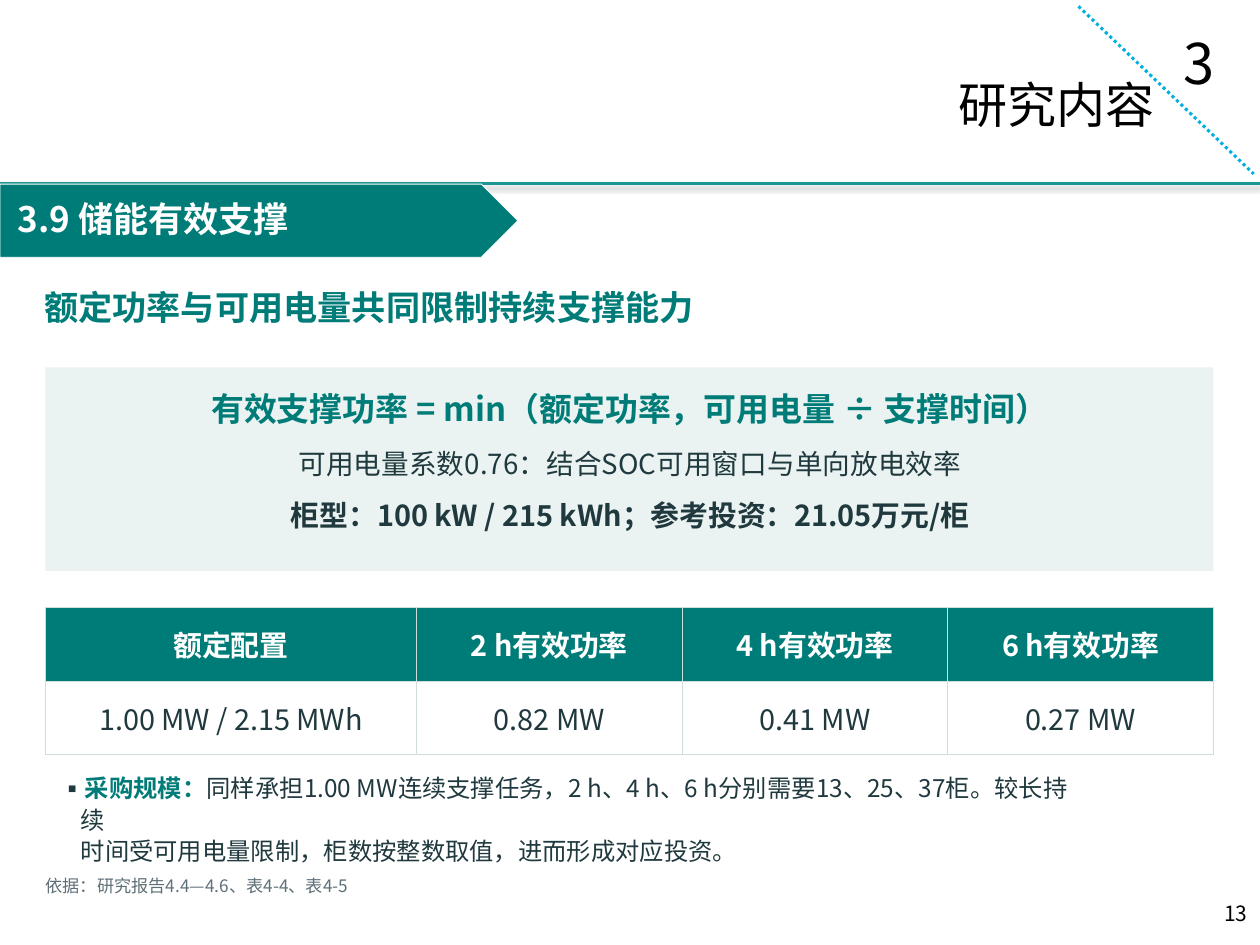
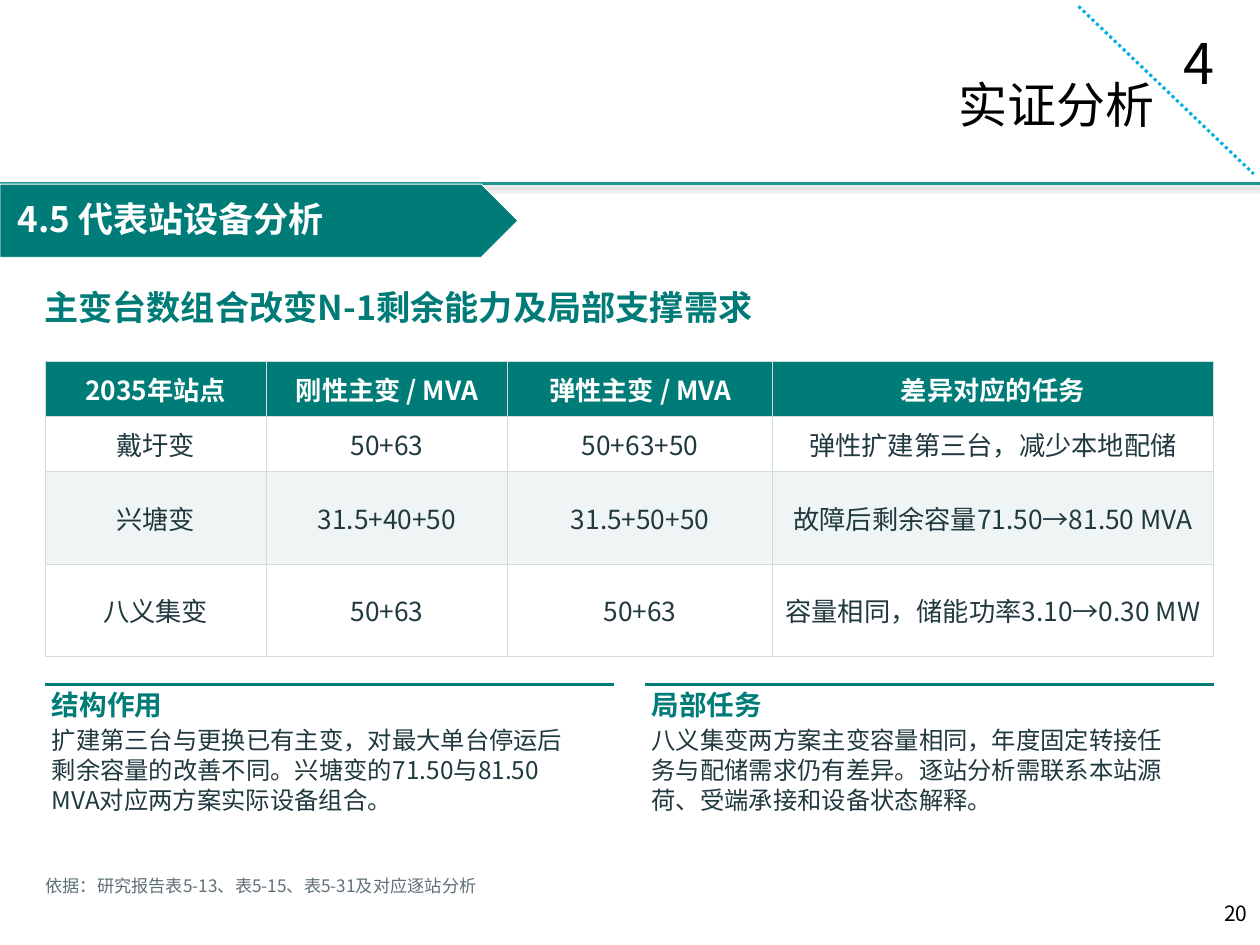
from dataclasses import dataclass

from lxml import etree
from pptx import Presentation
from pptx.dml.color import RGBColor
from pptx.enum import dml, shapes, text
from pptx.oxml import ns
from pptx.util import Pt

FONT = "Noto Sans CJK SC"
COLORS = {
    "teal": "007C78", "rule": "1C9791", "dots": "00B0E0", "ink": "20393E",
    "muted": "5E7077", "panel": "EAF3F1", "stripe": "EFF5F4",
    "border": "D0DEDB", "white": "FFFFFF", "black": "000000",
}
LEFT, WIDTH = 26, 667.4
ALIGN = {"l": text.PP_ALIGN.LEFT, "c": text.PP_ALIGN.CENTER, "r": text.PP_ALIGN.RIGHT}


@dataclass
class Page:
    chapter: str
    title: str
    section: str
    heading: str
    heading_width: float
    source: str
    source_width: float
    number: str
    layout: int


@dataclass
class PanelLine:
    text: str
    top: float
    width: float
    height: float
    size: float
    color: str
    bold: bool


@dataclass
class Grid:
    top: float
    cols: list[float]
    rows: list[float]
    size: float
    cells: list[list[str]]


@dataclass
class Column:
    left: float
    head: str
    body: str


def rgb(name: str) -> RGBColor:
    return RGBColor.from_string(COLORS[name])


def sub(parent, tag: str, **attrs):
    el = etree.SubElement(parent, ns.qn(tag))
    for key, value in attrs.items():
        el.set(key, str(value))
    return el


def write(p, content: str, *, size: float, color: str = "ink", bold: bool = False,
          align: str = "l", spacing: float | None = None) -> None:
    p.alignment = ALIGN[align]
    p.space_before = Pt(0)
    if spacing:
        p.line_spacing = Pt(spacing)
    for i, line in enumerate(content.split("\n")):
        if i:
            p.add_line_break()
        r = p.add_run()
        r.text = line
        r.font.name, r.font.size, r.font.bold = FONT, Pt(size), bold
        r.font.color.rgb = rgb(color)
        sub(r._r.get_or_add_rPr(), "a:ea", typeface=FONT)


def frame(sp, box: tuple, ins: tuple = (0, 0, 0, 0), wrap: bool = False):
    sp.left, sp.top, sp.width, sp.height = (Pt(v) for v in box)
    tf = sp.text_frame
    tf.margin_left, tf.margin_top, tf.margin_right, tf.margin_bottom = (Pt(v) for v in ins)
    tf.auto_size = text.MSO_AUTO_SIZE.NONE
    tf.word_wrap = wrap
    tf.vertical_anchor = text.MSO_ANCHOR.TOP
    return tf.paragraphs[0]


def label(s, content: str, box: tuple, ins: tuple = (0, 0, 0, 0), **fmt) -> None:
    sp = s.shapes.add_textbox(*(Pt(v) for v in box))
    write(frame(sp, box, ins), content, **fmt)


def line(s, start: tuple, end: tuple, color: str, width: float):
    c = s.shapes.add_connector(shapes.MSO_CONNECTOR.STRAIGHT,
                               *(Pt(v) for v in (*start, *end)))
    c.line.color.rgb = rgb(color)
    c.line.width = Pt(width)
    return c, sub(c._element.spPr, "a:effectLst")


def block(s, kind, box: tuple, fill: str, outline: str | None = None) -> None:
    sp = s.shapes.add_shape(kind, *(Pt(v) for v in box))
    sp.shadow.inherit = False
    sp.fill.solid()
    sp.fill.fore_color.rgb = rgb(fill)
    if outline:
        sp.line.color.rgb = rgb(outline)
        sp.line.width = Pt(0.5)
    else:
        sp.line.fill.background()


def add_page(prs, page: Page):
    s = prs.slides.add_slide(prs.slide_layouts[page.layout])
    _, effects = line(s, (0, 105), (720, 105), "rule", 1.5)
    shadow = sub(effects, "a:outerShdw", blurRad=Pt(3.1), dist=Pt(1.8),
                 dir=5400000, rotWithShape=0)
    sub(sub(shadow, "a:srgbClr", val=COLORS["black"]), "a:alpha", val=35000)
    label(s, page.chapter, (669, 13, 24.5, 46), (7.2, 3.6, 0, 0), size=32, color="black")
    write(frame(s.shapes.title, (358.6, 39, 308.2, 41), (0, 3.6, 7.2, 0)),
          page.title, size=28, color="black", align="r")
    dots, _ = line(s, (616.3, 3.6), (716.4, 99.4), "dots", 1.75)
    dots.line.dash_style = dml.MSO_LINE.ROUND_DOT
    label(s, page.number, (558, 511.2, 162, 28.8), (0, 3.6, 7.2, 0),
          size=12, color="black", align="r")
    block(s, shapes.MSO_SHAPE.PENTAGON, (0, 105.2, 296, 41.8), "teal", "white")
    label(s, page.section, (2.9, 109.4, 273.6, 31.7), (7.2, 3.6, 0, 0),
          size=20, color="white", bold=True)
    label(s, page.heading, (25.2, 163.4, page.heading_width, 30.2),
          size=19.5, color="teal", bold=True)
    label(s, page.source, (LEFT, 500.4, page.source_width, 15.1), size=9.8, color="muted")
    return s


def style_cell(cell, fill: str) -> None:
    pr = cell._tc.get_or_add_tcPr()
    for side in ("a:lnL", "a:lnR", "a:lnT", "a:lnB"):
        edge = sub(pr, side, w=Pt(0.45))
        sub(sub(edge, "a:solidFill"), "a:srgbClr", val=COLORS["border"])
    cell.fill.solid()
    cell.fill.fore_color.rgb = rgb(fill)
    cell.vertical_anchor = text.MSO_ANCHOR.MIDDLE
    cell.margin_left = cell.margin_right = cell.margin_top = cell.margin_bottom = Pt(2.2)


def add_grid(s, grid: Grid) -> None:
    table = s.shapes.add_table(len(grid.rows), len(grid.cols), Pt(LEFT), Pt(grid.top),
                               Pt(sum(grid.cols)), Pt(sum(grid.rows))).table
    for col, width in zip(table.columns, grid.cols):
        col.width = Pt(width)
    for i, (row, height) in enumerate(zip(table.rows, grid.rows)):
        row.height = Pt(height)
        header = i == 0
        fill = "teal" if header else "white" if i % 2 else "stripe"
        for cell, content in zip(row.cells, grid.cells[i]):
            style_cell(cell, fill)
            write(cell.text_frame.paragraphs[0], content, size=grid.size, align="c",
                  color="white" if header else "ink", bold=header)


def add_bullet(s, lead: str, content: str) -> None:
    p = frame(s.placeholders[1], (34.6, 440.6, 585, 39.6), wrap=True)
    pr = p._p.get_or_add_pPr()
    pr.set("marL", str(Pt(11.5)))
    pr.set("indent", str(Pt(-11.5)))
    sub(sub(pr, "a:buClr"), "a:srgbClr", val=COLORS["ink"])
    sub(pr, "a:buFont", typeface=FONT)
    sub(pr, "a:buChar", char="▪")
    write(p, lead, size=13.9, color="teal", bold=True, spacing=18)
    write(p, content, size=13.9, spacing=18)


def add_column(s, col: Column) -> None:
    line(s, (col.left, 391), (col.left + 325, 391), "teal", 1.5)
    label(s, col.head, (col.left + 3.6, 393.1, 68.4, 24.5),
          size=15.8, color="teal", bold=True)
    label(s, col.body, (col.left + 3.6, 414, 293, 56.2), size=13.9, spacing=17.2)


STORAGE = Page("3", "研究内容", "3.9 储能有效支撑", "额定功率与可用电量共同限制持续支撑能力", 394.6,
               "依据：研究报告4.4—4.6、表4-4、表4-5", 189.4, "13", 1)
STATIONS = Page("4", "实证分析", "4.5 代表站设备分析", "主变台数组合改变N-1剩余能力及局部支撑需求", 432,
                "依据：研究报告表5-13、表5-15、表5-31及对应逐站分析", 266.4, "20", 5)
FORMULA = [
    PanelLine("有效支撑功率 = min（额定功率，可用电量 ÷ 支撑时间）", 221.8, 501.8, 28.8, 18.8, "teal", True),
    PanelLine("可用电量系数0.76：结合SOC可用窗口与单向放电效率", 255.6, 406, 24.5, 15.8, "ink", False),
    PanelLine("柜型：100 kW / 215 kWh；参考投资：21.05万元/柜", 284.4, 425.5, 25.2, 16.5, "ink", True),
]
POWER = Grid(347.2, [212] + [151.8] * 3, [42] * 2, 16.5, [
    ["额定配置", "2 h有效功率", "4 h有效功率", "6 h有效功率"],
    ["1.00 MW / 2.15 MWh", "0.82 MW", "0.41 MW", "0.27 MW"],
])
TRANSFORMERS = Grid(206.3, [126, 138.2, 151.2, 252], [31.5] * 2 + [53] * 2, 15, [
    ["2035年站点", "刚性主变 / MVA", "弹性主变 / MVA", "差异对应的任务"],
    ["戴圩变", "50+63", "50+63+50", "弹性扩建第三台，减少本地配储"],
    ["兴塘变", "31.5+40+50", "31.5+50+50", "故障后剩余容量71.50→81.50 MVA"],
    ["八义集变", "50+63", "50+63", "容量相同，储能功率3.10→0.30 MW"],
])
COLUMNS = [
    Column(LEFT, "结构作用", "扩建第三台与更换已有主变，对最大单台停运后\n"
           "剩余容量的改善不同。兴塘变的71.50与81.50\nMVA对应两方案实际设备组合。"),
    Column(368.8, "局部任务", "八义集变两方案主变容量相同，年度固定转接任\n"
           "务与配储需求仍有差异。逐站分析需联系本站源\n荷、受端承接和设备状态解释。"),
]


def main() -> None:
    prs = Presentation()
    prs.slide_width, prs.slide_height = Pt(720), Pt(540)

    s = add_page(prs, STORAGE)
    block(s, shapes.MSO_SHAPE.RECTANGLE, (LEFT, 210, WIDTH, 116.2), "panel")
    for row in FORMULA:
        label(s, row.text, (360 - row.width / 2, row.top, row.width, row.height),
              size=row.size, color=row.color, bold=row.bold, align="c")
    add_grid(s, POWER)
    add_bullet(s, "采购规模：", "同样承担1.00 MW连续支撑任务，2 h、4 h、6 h分别需要13、25、37柜。较长持续\n"
               "时间受可用电量限制，柜数按整数取值，进而形成对应投资。")

    s = add_page(prs, STATIONS)
    add_grid(s, TRANSFORMERS)
    for col in COLUMNS:
        add_column(s, col)

    prs.save("out.pptx")


if __name__ == "__main__":
    main()
